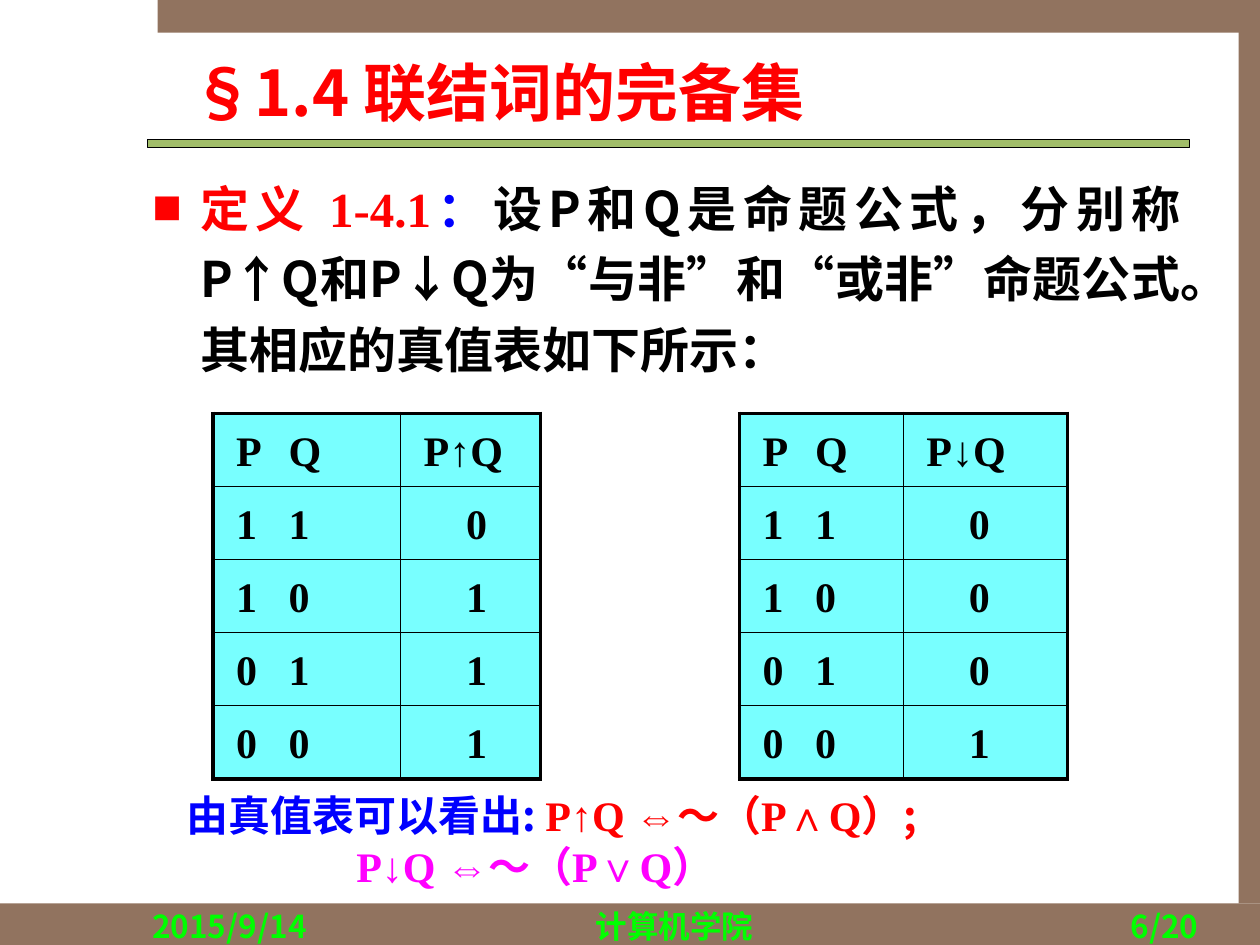
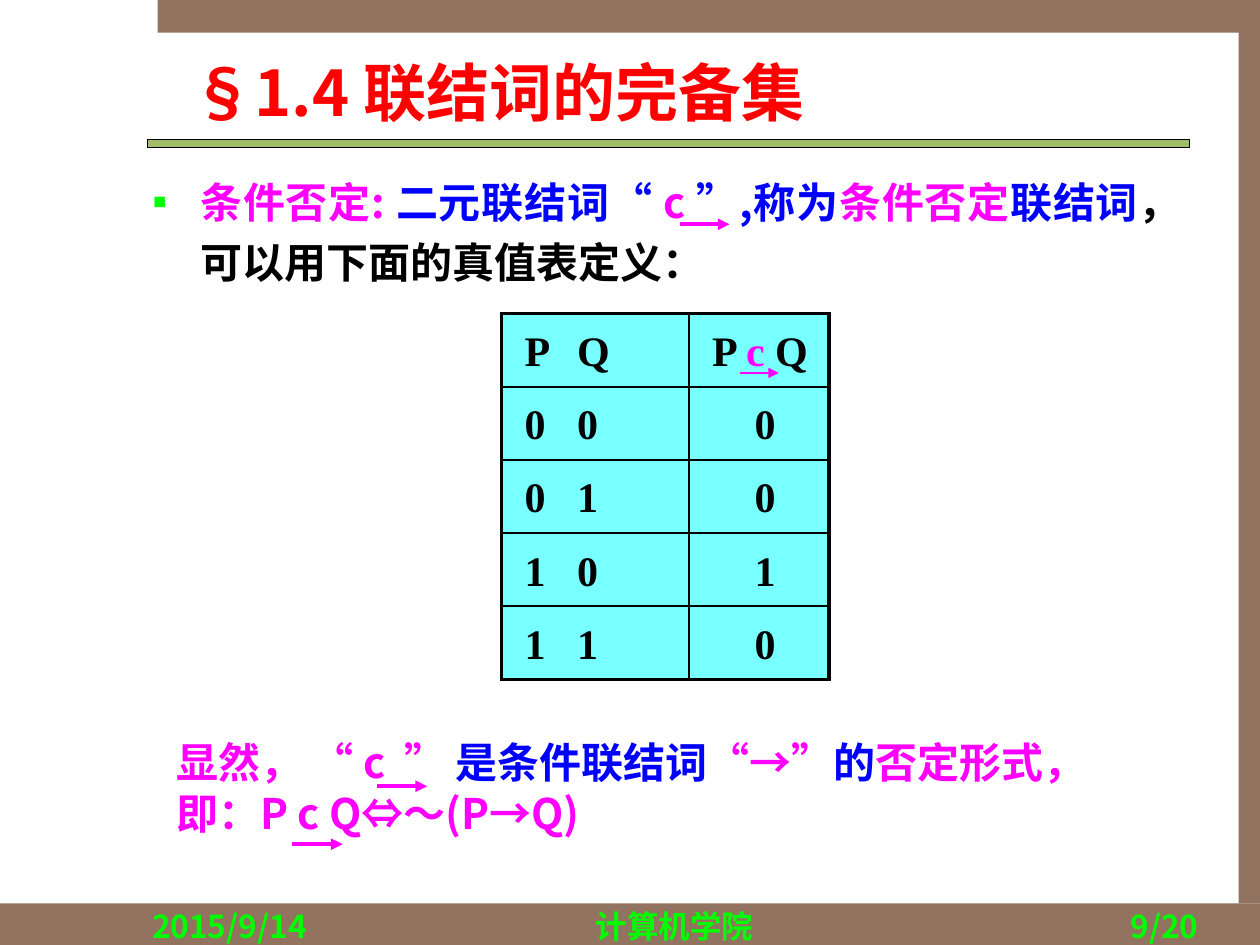
from dataclasses import dataclass
from typing import NamedTuple, Optional

from lxml import etree
from pptx import Presentation
from pptx.dml.color import RGBColor
from pptx.enum import shapes, text
from pptx.oxml import ns
from pptx.util import Inches, Pt

BROWN = RGBColor(0x91, 0x73, 0x5F)
OLIVE = RGBColor(0xA1, 0xBD, 0x69)
CYAN = RGBColor(0x78, 0xFF, 0xFF)
BLACK = RGBColor(0, 0, 0)
RED = RGBColor(0xFF, 0, 0)
GREEN = RGBColor(0, 0xFF, 0)
BLUE = RGBColor(0, 0, 0xFF)
PINK = RGBColor(0xFF, 0, 0xFF)
SANS = "Noto Sans CJK SC"
SERIF = "Times New Roman"
LEFT, MID, RIGHT, JUST = (
    text.PP_ALIGN.LEFT,
    text.PP_ALIGN.CENTER,
    text.PP_ALIGN.RIGHT,
    text.PP_ALIGN.JUSTIFY,
)


class Run(NamedTuple):
    text: str
    color: RGBColor = BLACK
    font: str = SANS
    bold: bool = True
    gap: int = 0


@dataclass
class Para:
    runs: list
    size: int = 24
    align: int = LEFT
    space: Optional[float] = None
    left: float = 0
    hang: float = 0
    mark: str = ""
    tint: RGBColor = BLACK
    tab: float = 0


class Band(NamedTuple):
    x: float
    y: float
    w: float
    h: float
    fill: RGBColor = BROWN
    edge: bool = False


@dataclass
class Truth:
    x: float
    y: float
    cols: tuple
    row: float
    head: list
    rows: list


class Arrow(NamedTuple):
    x: float
    y: float
    size: float
    width: float = 2.25


BANDS = [
    Band(0, 7.17, 10, 0.33),
    Band(1.25, 0, 8.75, 0.26),
    Band(9.83, 0.25, 0.17, 6.92),
    Band(1.17, 1.11, 8.27, 0.06, OLIVE, True),
]


def child(node, tag: str, **attrs):
    return etree.SubElement(node, ns.qn(tag), **attrs)


def write(frame, paras: list) -> None:
    for i, item in enumerate(paras):
        para = frame.add_paragraph() if i else frame.paragraphs[0]
        para.alignment = item.align
        if item.space:
            para.line_spacing = item.space
        prop = para._p.get_or_add_pPr()
        prop.set("marL", str(Inches(item.left)))
        prop.set("indent", str(Inches(-item.hang)))
        if item.mark:
            child(child(prop, "a:buClr"), "a:srgbClr", val=str(item.tint))
            child(prop, "a:buFont", typeface=SERIF)
            child(prop, "a:buChar", char=item.mark)
        if item.tab:
            tabs = child(prop, "a:tabLst")
            child(tabs, "a:tab", pos=str(Inches(item.tab)), algn="l")
        for part in item.runs:
            run = para.add_run()
            run.text = part.text
            font = run.font
            font.size, font.bold, font.name = Pt(item.size), part.bold, part.font
            font.color.rgb = part.color
            child(run._r.get_or_add_rPr(), "a:ea", typeface=SANS)
            if part.gap:
                run._r.get_or_add_rPr().set("spc", str(part.gap))


def box(slide, x: float, y: float, w: float, h: float, paras: list,
        inset: Optional[float] = None, anchor=text.MSO_ANCHOR.TOP) -> None:
    frame = slide.shapes.add_textbox(
        Inches(x), Inches(y), Inches(w), Inches(h)).text_frame
    frame.word_wrap = True
    frame.vertical_anchor = anchor
    if inset is not None:
        frame.margin_left = frame.margin_right = Inches(inset)
        frame.margin_top = frame.margin_bottom = Inches(inset)
    write(frame, paras)


def band(slide, item: Band) -> None:
    shape = slide.shapes.add_shape(
        shapes.MSO_SHAPE.RECTANGLE,
        Inches(item.x), Inches(item.y), Inches(item.w), Inches(item.h))
    shape.shadow.inherit = False
    shape.fill.solid()
    shape.fill.fore_color.rgb = item.fill
    if item.edge:
        shape.line.color.rgb = BLACK
        shape.line.width = Pt(0.75)
    else:
        shape.line.fill.background()


def start(deck, page: str):
    slide = deck.slides.add_slide(deck.slide_layouts[5])
    for item in BANDS:
        band(slide, item)
    for x, w, label, align in [
        (1.11, 2.08, "2015/9/14", LEFT),
        (3.19, 4.33, "计算机学院", MID),
        (7.53, 2.08, page, RIGHT),
    ]:
        box(slide, x, 7.15, w, 0.18, [Para([Run(label, GREEN)], 18, align)])
    title = slide.shapes.title
    title.left, title.top = Inches(1.42), Inches(0.33)
    title.width, title.height = Inches(8.02), Inches(0.79)
    frame = title.text_frame
    frame.auto_size = text.MSO_AUTO_SIZE.NONE
    frame.vertical_anchor = text.MSO_ANCHOR.MIDDLE
    write(frame, [Para([Run("§1.4 联结词的完备集", RED)], 36)])
    return slide


def border(cell, sides: dict) -> None:
    prop = cell._tc.get_or_add_tcPr()
    for side in "LRTB":
        width = Pt(2.25 if sides[side] else 1)
        line = child(prop, "a:ln" + side, w=str(width))
        child(child(line, "a:solidFill"), "a:srgbClr", val=str(BLACK))


def truth(slide, item: Truth) -> None:
    count = len(item.rows) + 1
    grid = slide.shapes.add_table(
        count, 2, Inches(item.x), Inches(item.y),
        Inches(sum(item.cols)), Inches(item.row * count)).table
    grid.first_row = grid.horz_banding = False
    for col, width in zip(grid.columns, item.cols):
        col.width = Inches(width)
    for r in range(count):
        grid.rows[r].height = Inches(item.row)
        if r:
            p, q, val = item.rows[r - 1]
            pair = Para([Run(f" {p}\t{q}", font=SERIF)], tab=0.75)
            last = Para([Run(val, font=SERIF)], left=0.42)
        else:
            pair = Para([Run(" P\tQ", font=SERIF)], tab=0.7)
            last = Para(item.head)
        for c, para in enumerate((pair, last)):
            cell = grid.cell(r, c)
            border(cell, {"L": c == 0, "R": c == 1,
                          "T": r == 0, "B": r == count - 1})
            cell.fill.solid()
            cell.fill.fore_color.rgb = CYAN
            para.align, para.space = JUST, 1.2
            write(cell.text_frame, [para])


def arrow(slide, item: Arrow) -> None:
    line = slide.shapes.add_connector(
        shapes.MSO_CONNECTOR.STRAIGHT, Inches(item.x), Inches(item.y),
        Inches(item.x + item.size), Inches(item.y))
    line.line.color.rgb = PINK
    line.line.width = Pt(item.width)
    child(line.line._get_or_add_ln(), "a:tailEnd", type="triangle")
    child(line._element.spPr, "a:effectLst")


def sign(mark: str) -> list:
    return [Run(" P", font=SERIF), Run(mark, font=SERIF, bold=False),
            Run("Q", font=SERIF)]


def nand(deck) -> None:
    slide = start(deck, "6/20")
    box(slide, 1.17, 1.28, 8.24, 1.76, [Para([
        Run("定义 1-4.1", RED, SERIF),
        Run("：", BLUE, SERIF),
        Run("设P和Q是命题公式，分别称P↑Q和P↓Q为"),
        Run("“", font=SERIF), Run("与非"), Run("”", font=SERIF),
        Run("和"),
        Run("“", font=SERIF), Run("或非"), Run("”", font=SERIF),
        Run("命题公式。其相应的真值表如下所示："),
    ], 28, JUST, 1.2, 0.38, 0.38, "■", RED)], 0.04)
    truth(slide, Truth(5.87, 3.28, (1.3, 1.3), 0.54, sign("↓"),
                       ["110", "100", "010", "001"]))
    box(slide, 1.38, 6.22, 8.03, 0.9, [
        Para([Run("由真值表可以看出: ", BLUE),
              Run("P↑Q ⇔～（P∧Q）", RED, SERIF), Run(";", RED)]),
        Para([Run("P↓Q ⇔～（P∨Q）", PINK, SERIF)], left=1.35),
    ], anchor=text.MSO_ANCHOR.MIDDLE)
    truth(slide, Truth(1.69, 3.28, (1.49, 1.11), 0.58, sign("↑"),
                       ["110", "101", "011", "001"]))


def negate(deck) -> None:
    slide = start(deck, "9/20")
    box(slide, 1.17, 1.28, 8.24, 1.04, [Para([
        Run("条件否定: ", PINK),
        Run("二元联结词", BLUE),
        Run("“ ", BLUE, SERIF), Run("c ", PINK), Run("”", BLUE, SERIF),
        Run(",称为", BLUE),
        Run("条件否定", PINK),
        Run("联结词", BLUE),
        Run("，可以用下面的真值表定义："),
    ], 24, JUST, 1.2, 0.38, 0.38, "▪", GREEN)], 0.04)
    head = [Run(" P ", font=SERIF), Run("c", PINK, SERIF),
            Run(" Q", font=SERIF)]
    truth(slide, Truth(3.98, 2.49, (1.49, 1.11), 0.54, head,
                       ["000", "010", "101", "110"]))
    box(slide, 1.3, 5.8, 8.29, 0.9, [
        Para([
            Run("显然， ", PINK),
            Run("“ ", PINK, SERIF), Run("c ", PINK, gap=270),
            Run("” ", PINK, SERIF),
            Run("是条件联结词", BLUE),
            Run("“", PINK, SERIF), Run("→", PINK), Run("”", PINK, SERIF),
            Run("的", BLUE),
            Run("否定形式，", PINK),
        ]),
        Para([Run("即：P c Q⇔～(P→Q)", PINK)]),
    ])
    for item in [Arrow(5.4, 1.78, 0.39), Arrow(5.87, 2.96, 0.31, 0.75),
                 Arrow(2.99, 6.24, 0.4), Arrow(2.32, 6.7, 0.4)]:
        arrow(slide, item)


deck = Presentation()
deck.slide_width, deck.slide_height = Inches(10), Inches(7.5)
nand(deck)
negate(deck)
deck.save("out.pptx")
